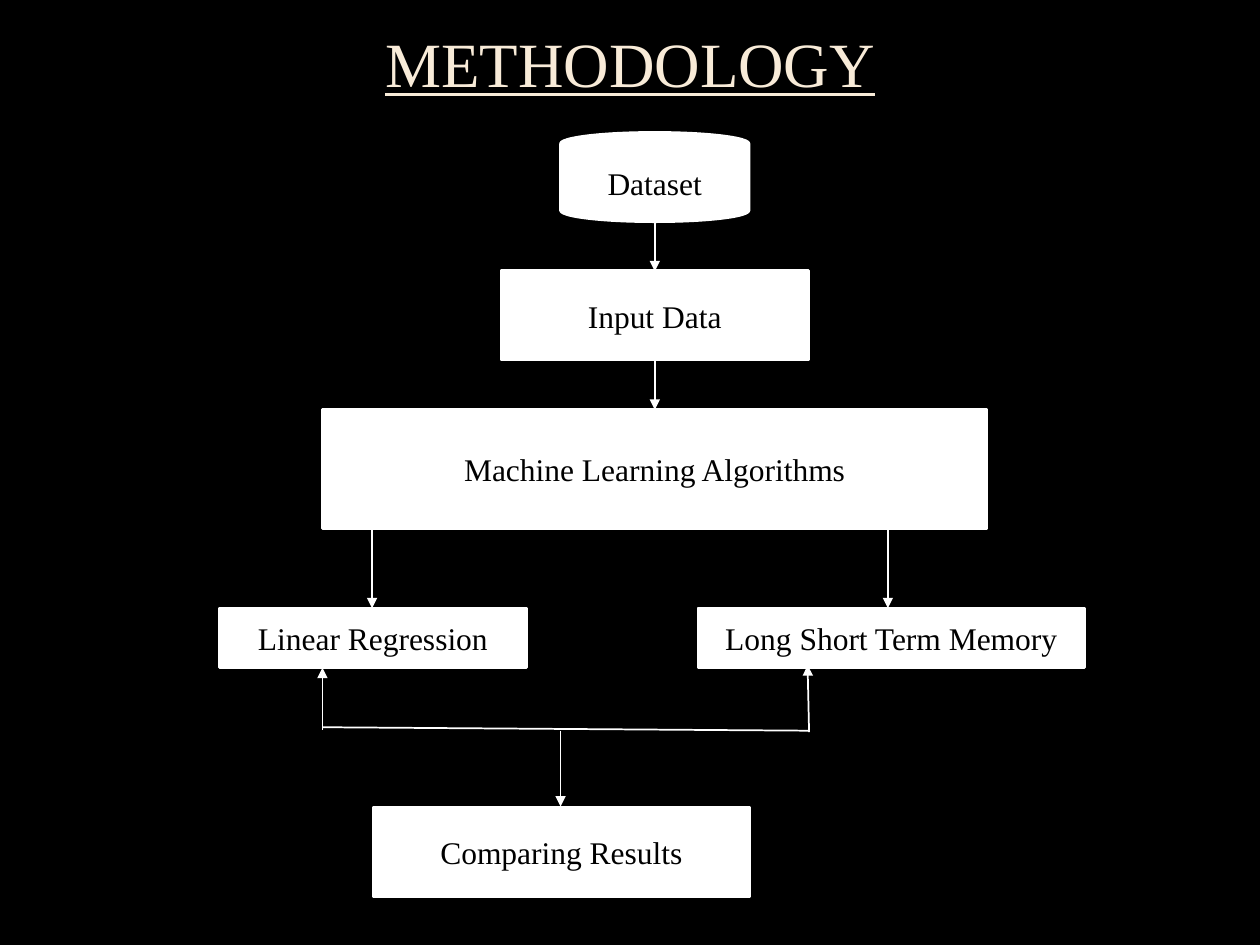
from lxml import etree
from pptx import Presentation
from pptx import util as u
from pptx.dml.color import RGBColor
from pptx.enum import shapes as sh, text as tx
from pptx.oxml.ns import qn

FONT = "Times New Roman"
WHITE = "FFFFFF"
BLACK = "000000"
CREAM = "F8EBD8"
RECT = sh.MSO_SHAPE.RECTANGLE
CAN = sh.MSO_SHAPE.CAN


def paint(fmt, color):
    fmt.solid()
    fmt.fore_color.rgb = RGBColor.from_string(color)


def write(shape, words, size, color):
    frame = shape.text_frame
    frame.word_wrap = True
    frame.vertical_anchor = tx.MSO_ANCHOR.MIDDLE
    para = frame.paragraphs[0]
    para.text = words
    para.alignment = tx.PP_ALIGN.CENTER
    para.font.name = FONT
    para.font.size = u.Pt(size)
    para.font.color.rgb = RGBColor.from_string(color)
    return para


def add_title(slide, words):
    box = slide.shapes.add_textbox(u.Cm(1.91), u.Cm(-0.86), u.Cm(21.59), u.Cm(4.42))
    para = write(box, words, 36, CREAM)
    para.line_spacing = 0.9
    para.font.underline = True


def add_step(slide, words, left, top, width, height, kind=RECT):
    step = slide.shapes.add_shape(kind, u.Cm(left), u.Cm(top), u.Cm(width), u.Cm(height))
    step.shadow.inherit = False
    paint(step.fill, WHITE)
    paint(step.line.fill, WHITE)
    step.line.width = u.Pt(1.5)
    write(step, words, 18, BLACK)


def add_link(slide, x1, y1, x2, y2, arrow=True):
    link = slide.shapes.add_connector(
        sh.MSO_CONNECTOR.STRAIGHT, u.Cm(x1), u.Cm(y1), u.Cm(x2), u.Cm(y2))
    paint(link.line.fill, WHITE)
    link.line.width = u.Pt(1)
    if arrow:
        etree.SubElement(link.line._get_or_add_ln(), qn("a:tailEnd"), type="triangle")
    etree.SubElement(link._element.spPr, qn("a:effectLst"))


def main():
    deck = Presentation()
    deck.slide_width, deck.slide_height = u.Cm(25.4), u.Cm(19.05)
    slide = deck.slides.add_slide(deck.slide_layouts[6])
    paint(slide.background.fill, BLACK)

    add_title(slide, "METHODOLOGY")

    add_step(slide, "Dataset", 11.3, 2.67, 3.8, 1.8, CAN)
    add_step(slide, "Input Data", 10.1, 5.46, 6.2, 1.8)
    add_step(slide, "Machine Learning Algorithms", 6.5, 8.26, 13.4, 2.4)
    add_step(slide, "Linear Regression", 4.42, 12.26, 6.2, 1.2)
    add_step(slide, "Long Short Term Memory", 14.07, 12.26, 7.8, 1.2)
    add_step(slide, "Comparing Results", 7.52, 16.28, 7.6, 1.8)

    for top in (4.47, 7.26):
        add_link(slide, 13.2, top, 13.2, top + 1)
    for x in (7.5, 17.9):
        add_link(slide, x, 10.66, x, 12.26)

    add_link(slide, 6.5, 14.71, 6.5, 13.46)
    add_link(slide, 16.31, 14.76, 16.28, 13.41)
    add_link(slide, 6.5, 14.66, 16.31, 14.73, arrow=False)
    add_link(slide, 11.3, 14.73, 11.3, 16.26)

    deck.save("out.pptx")


if __name__ == "__main__":
    main()
